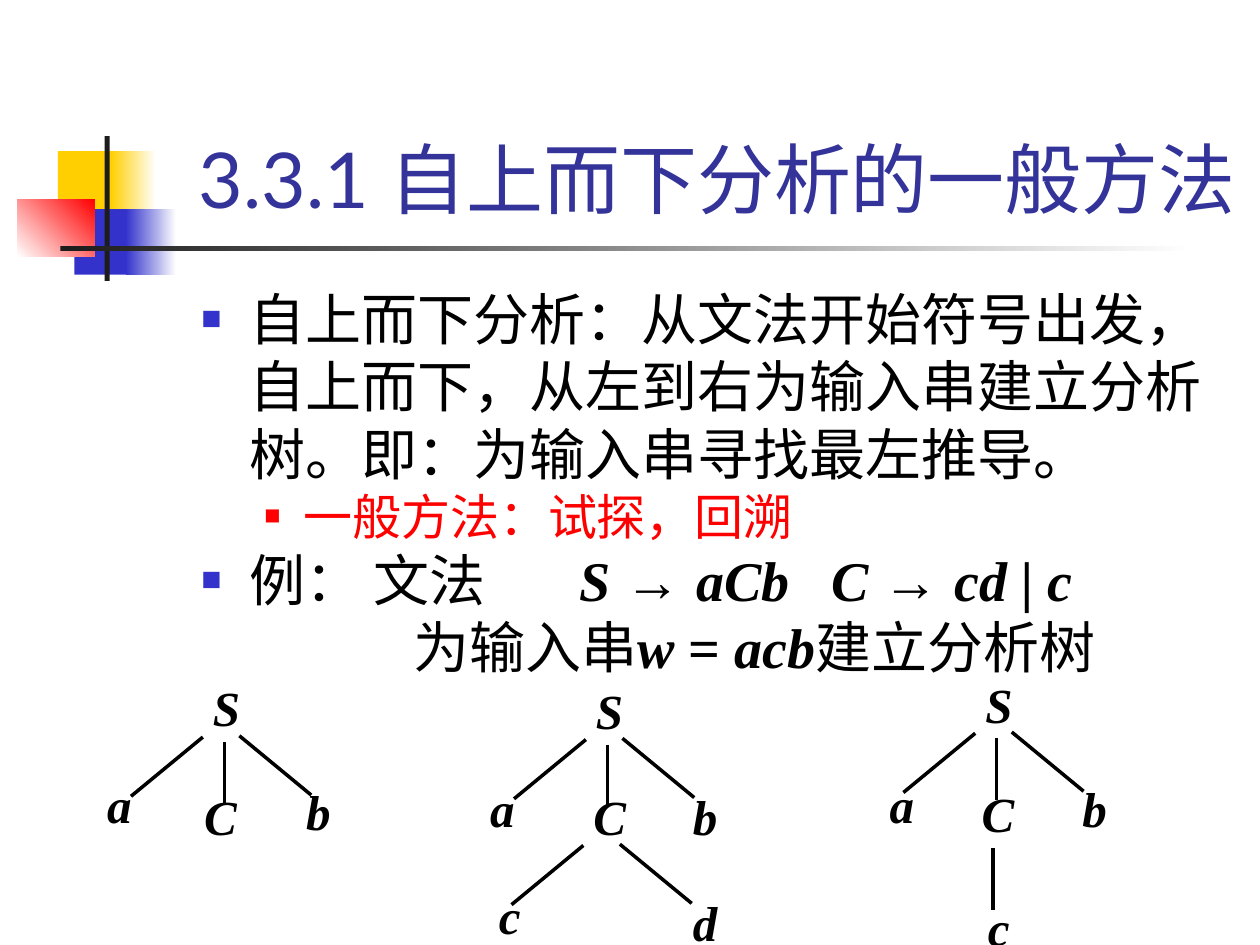
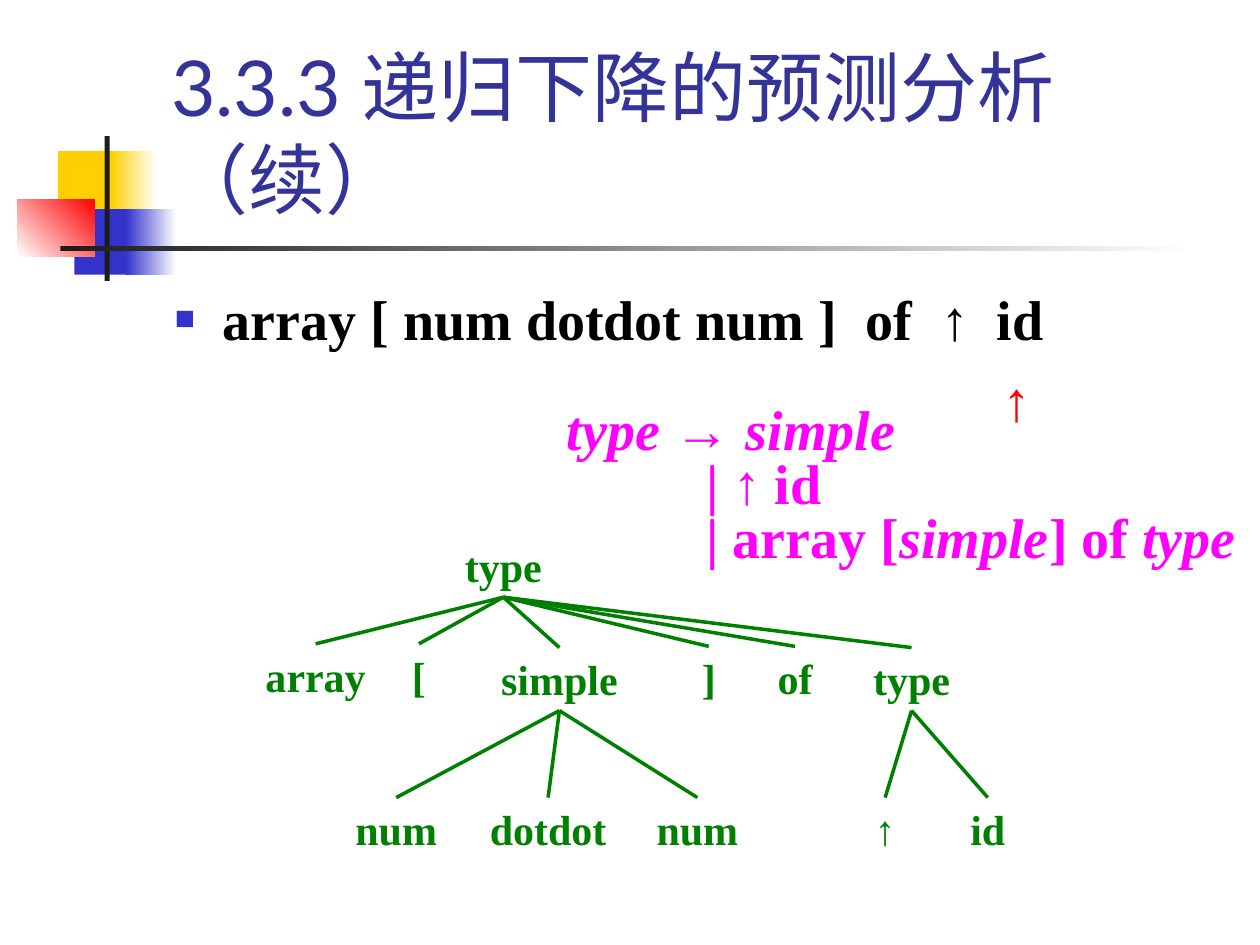
from lxml.etree import SubElement
from pptx import Presentation
from pptx.dml.color import RGBColor
from pptx.enum.shapes import MSO_CONNECTOR, MSO_SHAPE
from pptx.enum.text import MSO_ANCHOR, PP_ALIGN
from pptx.oxml.ns import qn
from pptx.util import Pt

SCALE = 9144  # EMU per px, 100 px to the inch
WHITE, BLACK, DARK = "FFFFFF", "000000", "1C1C1C"
NAVY, BLUE, GOLD, RED = "333399", "3333CC", "FFCF01", "FF0000"
GREEN, PINK = "008000", "FF00FF"
SANS, CJK, SERIF, SYMBOL = "Lato", "Noto Sans CJK SC", "Times New Roman", "Arial"

# Run styles: font, bold, italic
STYLES = {
    "plain": (SANS, False, False),
    "cjk": (CJK, False, False),
    "bold": (SERIF, True, False),
    "slant": (SERIF, True, True),
    "sign": (SYMBOL, True, False),
}

# Band parts: left, top, width, height, colours, angle
BAND = [
    (46, 120, 48, 52, [GOLD], 0),
    (88, 120, 36, 52, [GOLD, WHITE], 0),
    (59, 166, 46, 52, [BLUE], 0),
    (100, 166, 40, 52, [BLUE, WHITE], 0),
    (14, 158, 61, 46, [WHITE, RED], 45),
    (83, 108, 4, 115, [DARK], 0),
    (48, 195, 900, 4, [DARK, WHITE], 0),
]

# Branches from a node's corner: start x, start y, run, drop
BRANCHES = {"left": (-6, 48, -57, 47), "down": (11, 52, 0, 49),
            "right": (23, 47, 57, 47)}

# Parse trees: each node is letter, left, top, branches below it
TREES = [
    [("S", 167, 537, "left down right"), ("a", 83, 614, ""),
     ("C", 160, 623, ""), ("b", 241, 619, "")],
    [("S", 471, 539, "left down right"), ("a", 387, 617, ""),
     ("C", 469, 623, "left right"), ("b", 548, 623, ""),
     ("c", 394, 702, ""), ("d", 548, 707, "")],
    [("S", 780, 534, "left down right"), ("a", 704, 614, ""),
     ("C", 777, 621, "down"), ("b", 857, 617, ""), ("c", 782, 711, "")],
]


def px(count):
    return round(count * SCALE)


def rgb(code):
    return RGBColor.from_string(code)


def band(slide):
    for left, top, width, height, colors, angle in BAND:
        part = slide.shapes.add_shape(
            MSO_SHAPE.RECTANGLE, px(left), px(top), px(width), px(height))
        part.shadow.inherit = False
        part.line.fill.background()
        if len(colors) == 1:
            part.fill.solid()
            part.fill.fore_color.rgb = rgb(colors[0])
            continue
        part.fill.gradient()
        part.fill.gradient_angle = angle
        for place, (stop, color) in enumerate(zip(part.fill.gradient_stops, colors)):
            stop.position = place
            stop.color.rgb = rgb(color)


def textbox(slide, left, top, width, height, anchor=MSO_ANCHOR.TOP):
    box = slide.shapes.add_textbox(px(left), px(top), px(width), px(height))
    box.text_frame.word_wrap = True
    box.text_frame.vertical_anchor = anchor
    return box


def para(box, runs, size, color, margin=0, hang=0, bullet=None, tabs=()):
    """Add a paragraph of (text, style) runs; bullet is (colour, percent)."""
    frame = box.text_frame
    line = frame.paragraphs[0]
    if line.runs:
        line = frame.add_paragraph()
    props = line._p.get_or_add_pPr()
    props.set("marL", str(px(margin)))
    props.set("indent", str(px(-hang)))
    if bullet:
        tint, percent = bullet
        fill = SubElement(props, qn("a:buClr"))
        SubElement(fill, qn("a:srgbClr"), val=tint)
        SubElement(props, qn("a:buSzPct"), val=str(percent * 1000))
        SubElement(props, qn("a:buFont"), typeface=SYMBOL)
        SubElement(props, qn("a:buChar"), char="■")
    else:
        SubElement(props, qn("a:buNone"))
    if tabs:
        stops = SubElement(props, qn("a:tabLst"))
        for stop in tabs:
            SubElement(stops, qn("a:tab"), pos=str(px(stop)), algn="l")
    for text, style in runs:
        run = line.add_run()
        run.text = text
        name, bold, slant = STYLES[style]
        font = run.font
        font.size, font.bold, font.italic = Pt(size), bold, slant
        font.color.rgb = rgb(color)
        font.name = name
        east = name if name in (SERIF, SYMBOL) else CJK
        SubElement(run._r.get_or_add_rPr(), qn("a:ea"), typeface=east)
    return line


def title(slide, text, left, width):
    box = textbox(slide, left, 23, width, 160, MSO_ANCHOR.BOTTOM)
    para(box, [(text, "plain")], 44, NAVY)


def item(box, runs, tabs=()):
    para(box, runs, 32, BLACK, 38, 38, (BLUE, 60), tabs)


def edge(slide, color, x=0, y=0, run=0, drop=0):
    line = slide.shapes.add_connector(
        MSO_CONNECTOR.STRAIGHT, px(x), px(y), px(x + run), px(y + drop))
    line.line.color.rgb = rgb(color)
    line.line.width = Pt(2)
    SubElement(line._element.spPr, qn("a:effectLst"))
    return line


def node(slide, letter, left, top, below):
    """Draw one letter and the branches that leave it."""
    for side in below.split():
        x, y, run, drop = BRANCHES[side]
        edge(slide, BLACK, left + x, top + y, run, drop)
    box = textbox(slide, left, top, 34, 55)
    frame = box.text_frame
    frame.margin_left = frame.margin_right = px(2)
    frame.margin_top = frame.margin_bottom = px(1)
    para(box, [(letter, "slant")], 28, BLACK)


def label(slide, text, left, top, width, style="bold"):
    box = textbox(slide, left, top, width, 50)
    box.text_frame.margin_left = box.text_frame.margin_right = 0
    para(box, [(text, style)], 24, GREEN).alignment = PP_ALIGN.CENTER
    return box


def link(slide, parent, kids):
    for kid in kids:
        line = edge(slide, GREEN)
        line.begin_connect(parent, 2)
        line.end_connect(kid, 0)


def method(slide):
    title(slide, "3.3.1 自上而下分析的一般方法", 148, 852)
    body = textbox(slide, 150, 221, 850, 450)
    item(body, [("自上而下分析：从文法开始符号出发，自上而下，从左到右为输入串"
                 "建立分析树。即：为输入串寻找最左推导。", "plain")])
    para(body, [("一般方法：试探，回溯", "plain")], 28, RED, 81, 31, (RED, 55))
    item(body, [("例： 文法\t", "plain"), ("S ", "slant"), ("→ ", "sign"),
                ("aCb\tC ", "slant"), ("→ ", "sign"), ("cd | c", "slant")],
         tabs=(300, 500))
    para(body, [("为输入串", "cjk"), ("w", "slant"), (" = ", "bold"),
                ("acb", "slant"), ("建立分析树", "cjk")], 32, BLACK, margin=168)
    for tree in TREES:
        for spot in tree:
            node(slide, *spot)


def descent(slide):
    title(slide, "3.3.3 递归下降的预测分析（续）", 126, 774)
    body = textbox(slide, 129, 221, 850, 450)
    item(body, [("array [ num dotdot num ]  of  ", "bold"), ("↑", "sign"),
                ("  id", "bold")])
    mark = para(body, [("↑", "sign")], 32, RED, margin=657)
    mark.space_before = Pt(8)

    root = label(slide, "type", 359, 424, 81)
    array = label(slide, "array", 201, 511, 99)
    start = label(slide, "[", 317, 511, 31)
    simple = label(slide, "simple", 388, 514, 112)
    end = label(slide, "]", 547, 513, 31)
    of = label(slide, "of", 607, 513, 48)
    kind = label(slide, "type", 683, 514, 81)
    link(slide, root, [array, start, simple, end, of, kind])
    link(slide, simple, [label(slide, "num", 272, 633, 85),
                         label(slide, "dotdot", 379, 633, 112),
                         label(slide, "num", 511, 633, 85)])
    link(slide, kind, [label(slide, "↑", 686, 633, 33, "sign"),
                       label(slide, "id", 760, 633, 48)])

    rules = textbox(slide, 440, 317, 560, 141, MSO_ANCHOR.MIDDLE)
    rules.text_frame.margin_right = 0
    for margin, runs in (
        (0, [("type ", "slant"), ("→ ", "sign"), ("simple", "slant")]),
        (111, [("| ", "bold"), ("↑", "sign"), (" id", "bold")]),
        (111, [("| array [", "bold"), ("simple", "slant"), ("] of ", "bold"),
               ("type", "slant")]),
    ):
        para(rules, runs, 32, PINK, margin).line_spacing = 0.8


def main():
    deck = Presentation()
    deck.slide_width, deck.slide_height = px(1000), px(750)
    for fill in (method, descent):
        slide = deck.slides.add_slide(deck.slide_layouts[6])
        band(slide)
        fill(slide)
    deck.save("out.pptx")


if __name__ == "__main__":
    main()
